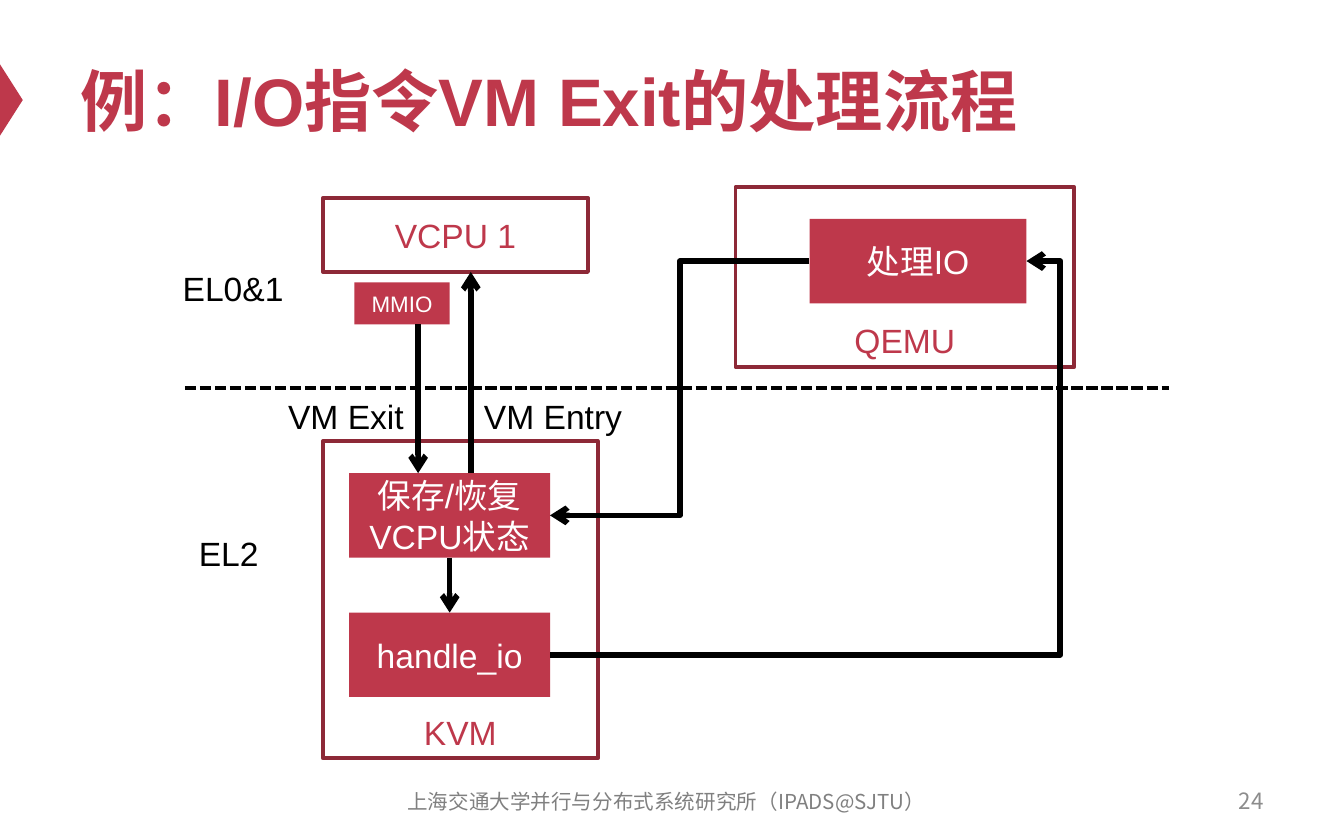
from lxml.etree import SubElement
from pptx import Presentation
from pptx.dml.color import RGBColor
from pptx.enum.dml import MSO_LINE
from pptx.enum.shapes import MSO_CONNECTOR as CONN, MSO_SHAPE as SHAPE
from pptx.enum.text import MSO_ANCHOR as ANCHOR, PP_ALIGN as ALIGN
from pptx.oxml.ns import qn
from pptx.util import Pt

COLORS = {"red": "BE384B", "border": "8D2937", "black": "000000",
          "white": "FFFFFF", "number": "8C8C8C", "footer": "808080"}
LATIN, CJK = "Arial", "Noto Sans CJK SC"

TITLE = ("例：I/O指令VM Exit的处理流程", (36, 18, 648, 70.5))
NUMBER = ("24", (516.3, 416.9, 167.7, 24))
FOOTER = ("上海交通大学并行与分布式系统研究所（IPADS@SJTU）", (201, 417.5, 312, 24))
MARKER = (-13, 47.5, 38.2, 12.2)

FRAMES = [
    ("VCPU 1", (173, 106, 142, 39.7), ANCHOR.MIDDLE),
    ("KVM", (173, 236.3, 147.3, 170), ANCHOR.BOTTOM),
    ("QEMU", (394, 100.2, 181.5, 96.4), ANCHOR.BOTTOM),
]
BLOCKS = [
    ("MMIO", (189.9, 151.3, 51, 22.5), 12),
    ("保存/恢复\nVCPU状态", (187, 253.5, 107.7, 45.2), 18),
    ("handle_io", (187, 328.2, 107.7, 45.2), 18),
    ("处理IO", (433.7, 117.3, 116.2, 45.2), 18),
]
LABELS = [
    ("VM Exit", (147.3, 208.3, 77, 29)),
    ("VM Entry", (252.2, 208.3, 89.3, 29)),
    ("EL0&1", (90.8, 140, 69, 29)),
    ("EL2", (99.4, 281.8, 46.8, 29)),
]
BOUNDARY = (99, 207.8, 626.4, 207.8)
ARROWS = [
    (224, 173.8, 224, 253.5),
    (252.2, 253.5, 252.2, 145.7),
    (240.9, 298.7, 240.9, 328.2),
]
ELBOWS = [
    ((294.7, 350.9, 549.9, 139.9), 1.071),
    ((433.7, 139.9, 294.7, 276.1), 0.5),
]


def rgb(name):
    return RGBColor.from_string(COLORS[name])


def write(sp, text, size, color, align=ALIGN.CENTER, anchor=ANCHOR.MIDDLE,
          font=LATIN, bold=False, wrap=True):
    tf = sp.text_frame
    tf.text = text
    tf.word_wrap = wrap
    tf.vertical_anchor = anchor
    for p in tf.paragraphs:
        p.alignment = align
        for r in p.runs:
            r.font.size = Pt(size)
            r.font.bold = bold
            r.font.name = font
            r.font.color.rgb = rgb(color)
            SubElement(r._r.get_or_add_rPr(), qn("a:ea"), typeface=CJK)


def add_text(s, text, at, size, color, **style):
    write(s.shapes.add_textbox(*map(Pt, at)), text, size, color, **style)


def add_box(s, at, fill=None, line=None, shape=SHAPE.RECTANGLE):
    sp = s.shapes.add_shape(shape, *map(Pt, at))
    sp.shadow.inherit = False
    if fill:
        sp.fill.solid()
        sp.fill.fore_color.rgb = rgb(fill)
    else:
        sp.fill.background()
    if line:
        sp.line.color.rgb = rgb(line)
        sp.line.width = Pt(2)
    else:
        sp.line.fill.background()
    return sp


def add_line(s, ends, width, kind=CONN.STRAIGHT, dash=None, arrow=True, bend=None):
    c = s.shapes.add_connector(kind, *map(Pt, ends))
    c.line.color.rgb = rgb("black")
    c.line.width = Pt(width)
    if dash:
        c.line.dash_style = dash
    spPr = c._element.spPr
    if arrow:
        SubElement(c.line._get_or_add_ln(), qn("a:tailEnd"), type="arrow")
    if bend is not None:
        guides = spPr.find(qn("a:prstGeom")).get_or_add_avLst()
        SubElement(guides, qn("a:gd"), name="adj1", fmla=f"val {round(bend * 100000)}")
    SubElement(spPr, qn("a:effectLst"))


def main():
    prs = Presentation()
    prs.slide_width, prs.slide_height = Pt(720), Pt(450)
    s = prs.slides.add_slide(prs.slide_layouts[6])

    add_box(s, MARKER, fill="red", shape=SHAPE.ISOSCELES_TRIANGLE).rotation = 90
    add_text(s, *TITLE, 36, "red", align=ALIGN.LEFT, bold=True)
    add_text(s, *NUMBER, 12, "number", align=ALIGN.RIGHT, font=CJK)
    add_text(s, *FOOTER, 11, "footer", font=CJK)

    for text, at, anchor in FRAMES:
        write(add_box(s, at, line="border"), text, 18, "red", anchor=anchor)
    for text, at, size in BLOCKS:
        write(add_box(s, at, fill="red"), text, size, "white")
    for text, at in LABELS:
        add_text(s, text, at, 18, "black", align=ALIGN.LEFT, anchor=ANCHOR.TOP, wrap=False)

    add_line(s, BOUNDARY, 2, dash=MSO_LINE.SQUARE_DOT, arrow=False)
    for ends in ARROWS:
        add_line(s, ends, 3)
    for ends, bend in ELBOWS:
        add_line(s, ends, 3, kind=CONN.ELBOW, bend=bend)

    prs.save("out.pptx")


if __name__ == "__main__":
    main()
